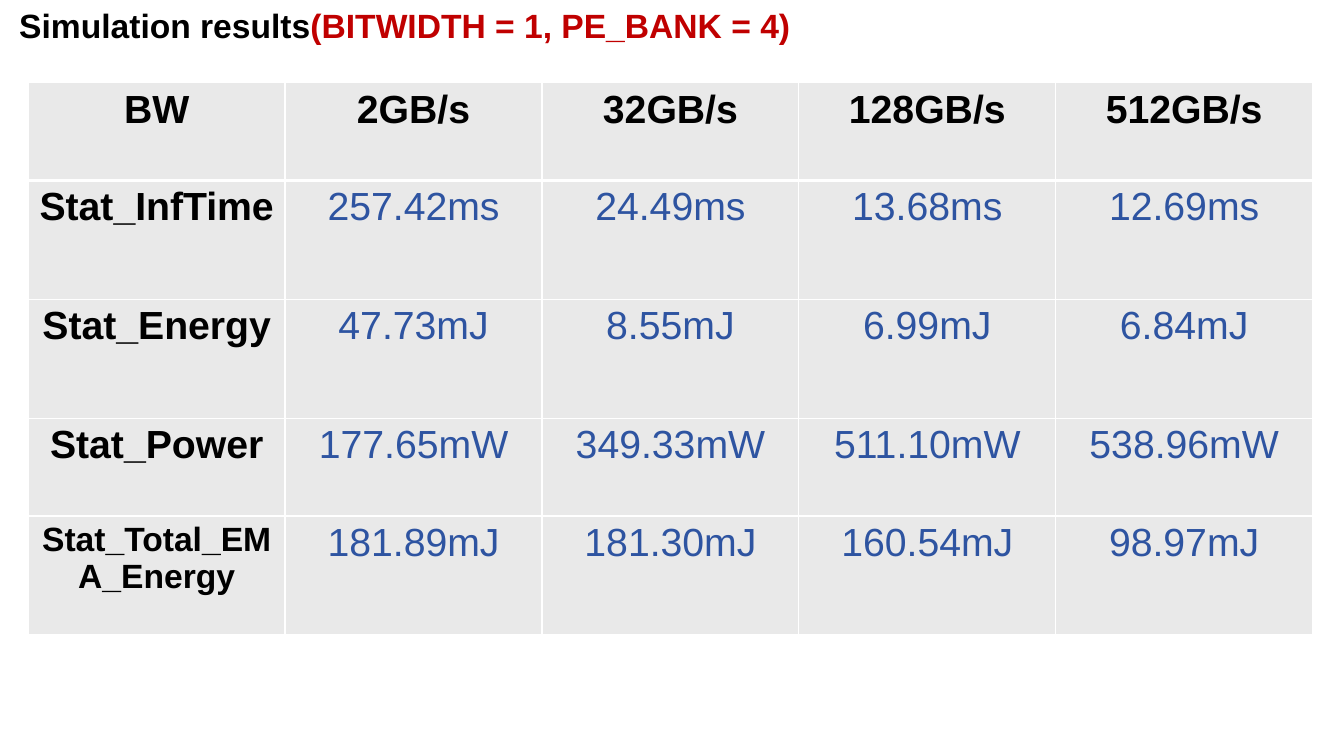
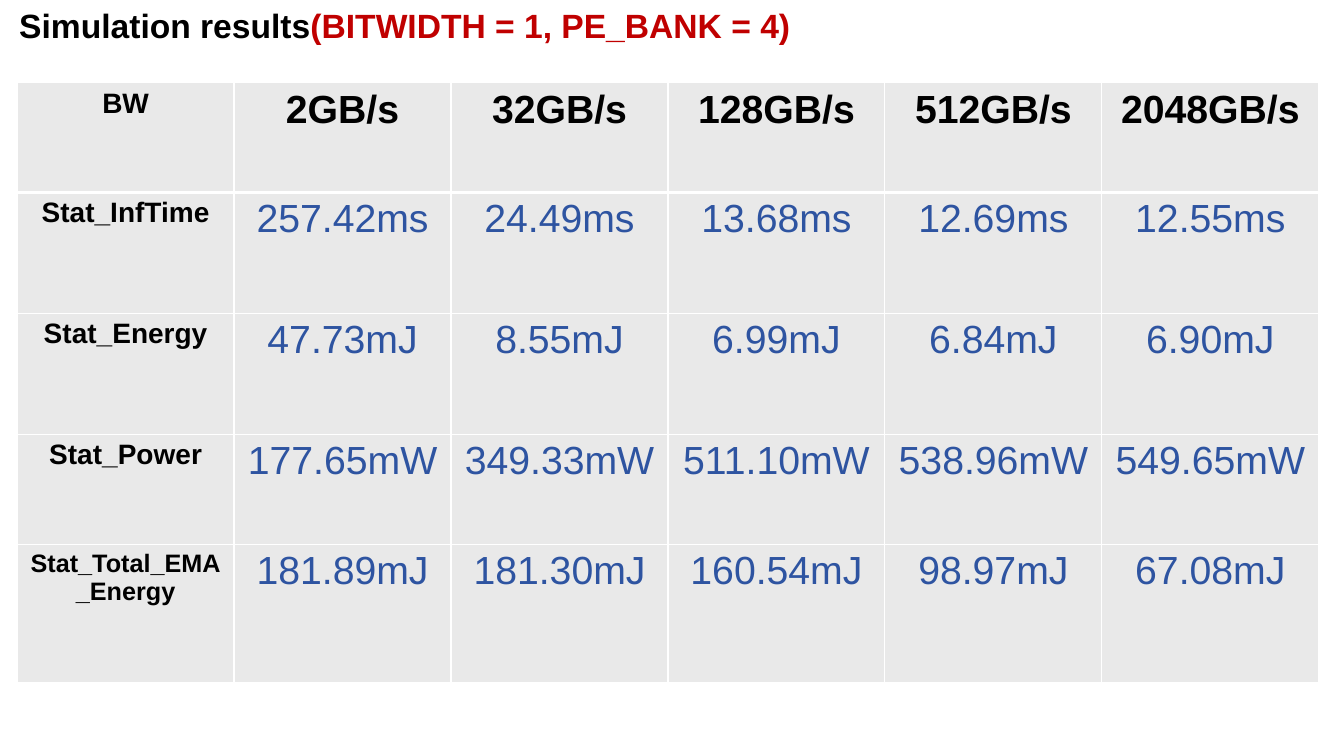
from dataclasses import dataclass

from lxml import etree
from pptx import Presentation
from pptx.dml.color import RGBColor
from pptx.enum import text
from pptx.oxml import ns
from pptx.util import Inches, Pt


@dataclass(frozen=True)
class Theme:
    font: str = "Arial"
    ink: str = "000000"
    accent: str = "C00000"
    value: str = "2E54A1"
    cell: str = "E9E9E9"
    border: str = "FFFFFF"
    title_size: int = 24
    value_size: int = 28
    thin: int = 1
    thick: int = 3


THEME = Theme()
TITLE_ONLY = 5
TABLE_TOP = 0.82

RESULTS = [
    ["BW", "2GB/s", "32GB/s", "128GB/s", "512GB/s", "2048GB/s"],
    ["Stat_InfTime", "257.42ms", "24.49ms", "13.68ms", "12.69ms", "12.55ms"],
    ["Stat_Energy", "47.73mJ", "8.55mJ", "6.99mJ", "6.84mJ", "6.90mJ"],
    ["Stat_Power", "177.65mW", "349.33mW", "511.10mW", "538.96mW", "549.65mW"],
    ["Stat_Total_EMA_Energy", "181.89mJ", "181.30mJ", "160.54mJ", "98.97mJ", "67.08mJ"],
]


def add_text(paragraph, content, *, size, color=THEME.ink, bold=False):
    run = paragraph.add_run()
    run.text = content
    run.font.name = THEME.font
    run.font.size = Pt(size)
    run.font.bold = bold
    run.font.color.rgb = RGBColor.from_string(color)


def add_title(slide, heading, setting):
    title = slide.shapes.title
    title.left, title.top = Inches(0), Inches(0)
    title.width, title.height = Inches(11.47), Inches(0.91)
    frame = title.text_frame
    frame.auto_size = text.MSO_AUTO_SIZE.NONE
    frame.vertical_anchor = text.MSO_ANCHOR.TOP
    frame.margin_left = Inches(0.19)
    paragraph = frame.paragraphs[0]
    paragraph.alignment = text.PP_ALIGN.LEFT
    add_text(paragraph, heading, size=THEME.title_size, bold=True)
    add_text(paragraph, setting, size=THEME.title_size, color=THEME.accent, bold=True)


def set_borders(cell, *, top, bottom):
    """Draw the four cell borders; call before the fill is set."""
    properties = cell._tc.get_or_add_tcPr()
    widths = {"L": THEME.thin, "R": THEME.thin, "T": top, "B": bottom}
    for side, width in widths.items():
        line = etree.SubElement(properties, ns.qn(f"a:ln{side}"), w=str(Pt(width)))
        fill = etree.SubElement(line, ns.qn("a:solidFill"))
        etree.SubElement(fill, ns.qn("a:srgbClr"), val=THEME.border)


def add_results_table(slide, rows, *, left, width, heights, label_sizes):
    """The first row and column are bold; label_sizes sizes the first column."""
    columns = len(rows[0])
    table = slide.shapes.add_table(
        len(rows), columns, Inches(left), Inches(TABLE_TOP),
        Inches(width), Inches(sum(heights))).table
    table.first_row = table.horz_banding = False
    for column in table.columns:
        column.width = Inches(width / columns)
    for r, (values, height) in enumerate(zip(rows, heights)):
        table.rows[r].height = Inches(height)
        for c, value in enumerate(values):
            cell = table.cell(r, c)
            set_borders(cell,
                        top=THEME.thick if r == 1 else THEME.thin,
                        bottom=THEME.thick if r == 0 else THEME.thin)
            cell.fill.solid()
            cell.fill.fore_color.rgb = RGBColor.from_string(THEME.cell)
            paragraph = cell.text_frame.paragraphs[0]
            paragraph.alignment = text.PP_ALIGN.CENTER
            is_label = r == 0 or c == 0
            add_text(paragraph, value, bold=is_label,
                     size=label_sizes[r] if c == 0 else THEME.value_size,
                     color=THEME.ink if is_label else THEME.value)


def add_results_slide(presentation, rows, **table_format):
    slide = presentation.slides.add_slide(presentation.slide_layouts[TITLE_ONLY])
    add_title(slide, "Simulation results", "(BITWIDTH = 1, PE_BANK = 4)")
    add_results_table(slide, rows, **table_format)


def main():
    presentation = Presentation()
    presentation.slide_width = Inches(13.33)
    presentation.slide_height = Inches(7.5)
    add_results_slide(presentation, [row[:5] for row in RESULTS],
                      left=0.28, width=12.74,
                      heights=[0.97, 1.18, 1.18, 0.97, 1.18],
                      label_sizes=[28, 28, 28, 28, 24])
    add_results_slide(presentation, RESULTS,
                      left=0.17, width=12.91,
                      heights=[1.09, 1.2, 1.2, 1.09, 1.37],
                      label_sizes=[20, 20, 20, 20, 18])
    presentation.save("out.pptx")


if __name__ == "__main__":
    main()
